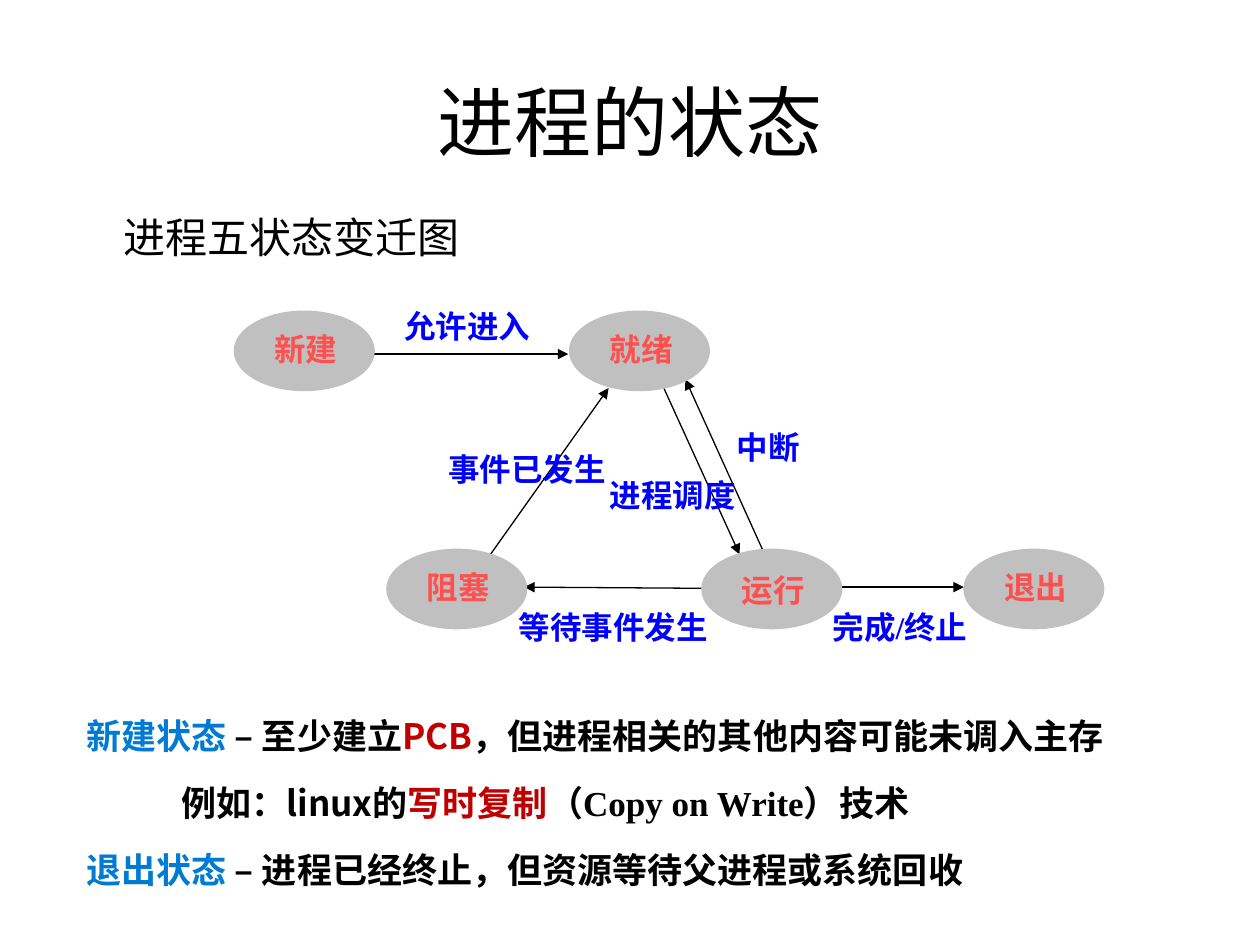
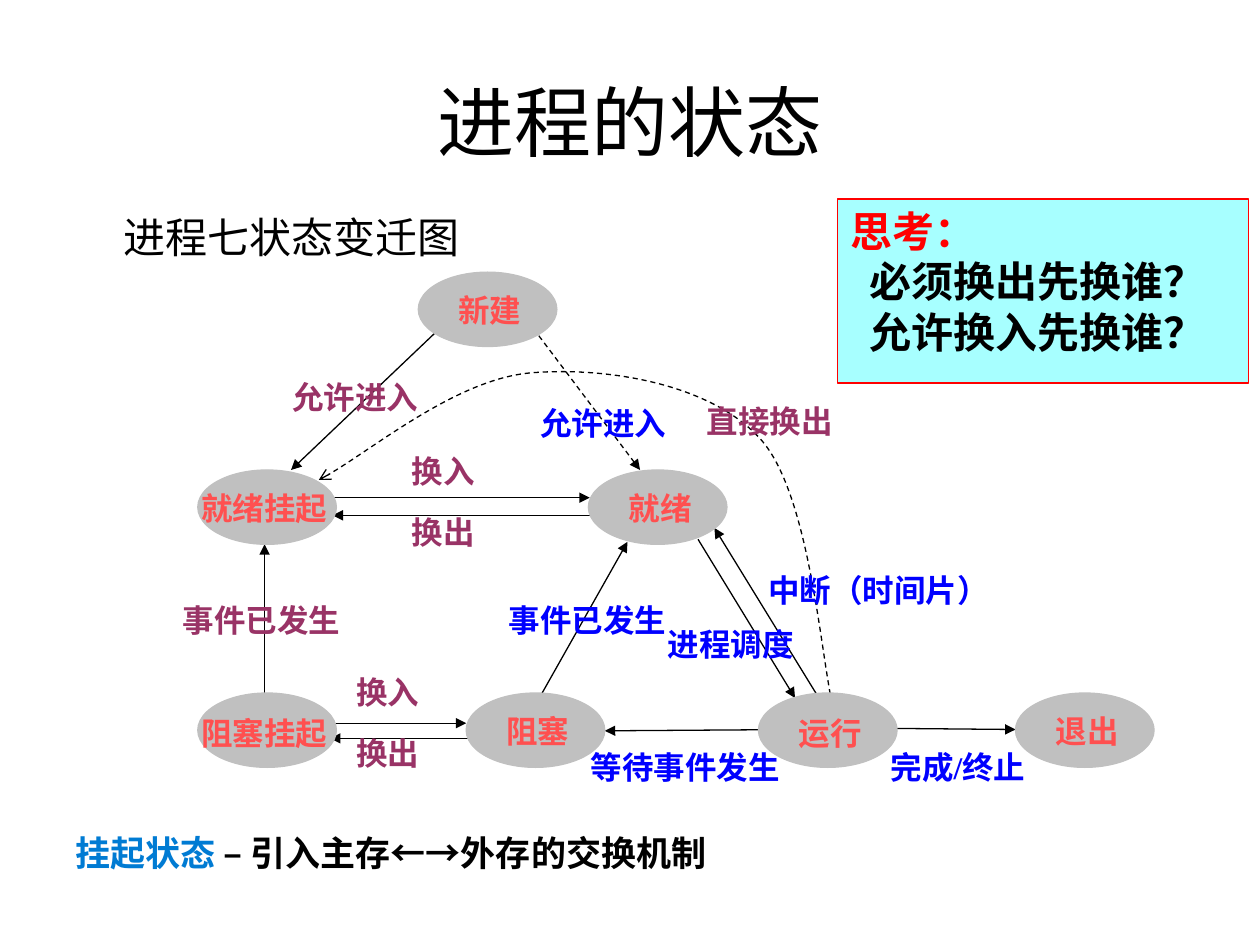
import pptx
import pptx.util
import pptx.dml.color
import pptx.enum.dml
import pptx.enum.shapes
import pptx.enum.text
import pptx.oxml.ns
from lxml import etree

Inches = pptx.util.Inches
Pt = pptx.util.Pt
qn = pptx.oxml.ns.qn
Align = pptx.enum.text.PP_ALIGN
Anchor = pptx.enum.text.MSO_ANCHOR
Shape = pptx.enum.shapes.MSO_SHAPE

COLORS = {
    "ink": "000000",
    "state": "C0C0C0",
    "state_name": "FF5050",
    "event": "0000FF",
    "swap": "993366",
    "key": "C00000",
    "term_start": "007BD3",
    "term_end": "034373",
    "callout": "A7FFFF",
    "alert": "FF0000",
}
SERIF = "Times New Roman"
SANS = "Noto Sans CJK SC"
LINE_WIDTH = 0.75


def rgb(name):
    return pptx.dml.color.RGBColor.from_string(COLORS[name])


def add_para(frame, spans, size, font=SERIF, color="ink", bold=False,
             align=None, leading=1.2, before=0, margin=0, hanging=0):
    para = frame.paragraphs[0]
    if para.runs:
        para = frame.add_paragraph()
        para.space_before = Pt(before)
    para.alignment = align
    para.line_spacing = Pt(round(size * leading, 1))
    if margin or hanging:
        props = para._p.get_or_add_pPr()
        props.set("marL", str(Inches(margin)))
        props.set("indent", str(-Inches(hanging)))
    para.font.size = Pt(size)
    para.font.bold = bold
    para.font.color.rgb = rgb(color)
    para.font.name = font
    etree.SubElement(para.font._rPr, qn("a:ea")).set("typeface", SANS)
    for text, style in spans:
        span = para.add_run()
        span.text = text
        if style == "term":
            paint_term(span)
        elif style == "serif":
            span.font.name = SERIF
        elif style:
            span.font.color.rgb = rgb(style)


def paint_term(span):
    fill = span.font.fill
    fill.gradient()
    fill.gradient_angle = 0
    for stop, name in zip(fill.gradient_stops, ("term_start", "term_end")):
        stop.color.rgb = rgb(name)


def add_box(page, left, top, width, height, anchor=Anchor.TOP):
    box = page.shapes.add_textbox(Inches(left), Inches(top), Inches(width), Inches(height))
    box.text_frame.word_wrap = True
    box.text_frame.vertical_anchor = anchor
    return box.text_frame


def add_label(page, text, left, top, width=1.78, color="event"):
    frame = add_box(page, left, top, width, 0.6)
    add_para(frame, [(text, None)], 18, color=color, bold=True, align=Align.JUSTIFY)


def add_preset(page, kind, left, top, width, height, fill, line):
    shape = page.shapes.add_shape(kind, Inches(left), Inches(top), Inches(width), Inches(height))
    shape.shadow.inherit = False
    shape.fill.solid()
    shape.fill.fore_color.rgb = rgb(fill)
    shape.line.color.rgb = rgb(line)
    shape.line.width = Pt(LINE_WIDTH)
    return shape


def add_state(page, name, left, top, width, height, drop=0.1):
    add_preset(page, Shape.OVAL, left, top, width, height, "state", "state")
    if len(name) > 2:
        shift, room = -0.07, 1.46
    else:
        shift, room = 0.22, 1.11
    add_label(page, name, left + shift, top + drop, room, "state_name")


def style_line(shape, head, dashed):
    shape.line.color.rgb = rgb("ink")
    shape.line.width = Pt(LINE_WIDTH)
    if dashed:
        shape.line.dash_style = pptx.enum.dml.MSO_LINE.DASH
    outline = shape.line._get_or_add_ln()
    etree.SubElement(outline, qn("a:tailEnd")).set("type", head)


def add_arrow(page, x1, y1, x2, y2, dashed=False):
    arrow = page.shapes.add_connector(
        pptx.enum.shapes.MSO_CONNECTOR.STRAIGHT,
        Inches(x1), Inches(y1), Inches(x2), Inches(y2))
    style_line(arrow, "triangle", dashed)
    etree.SubElement(arrow._element.spPr, qn("a:effectLst"))


def add_curved_arrow(page, start, controls):
    points = [(Inches(x), Inches(y)) for x, y in controls]
    builder = page.shapes.build_freeform(Inches(start[0]), Inches(start[1]))
    builder.add_line_segments(points, close=False)
    curve = builder.convert_to_shape()
    curve.shadow.inherit = False
    curve.fill.background()
    style_line(curve, "arrow", True)
    segments = list(curve._element.iter(qn("a:lnTo")))
    for first in range(0, len(segments), 3):
        bezier = etree.Element(qn("a:cubicBezTo"))
        segments[first].addprevious(bezier)
        for segment in segments[first:first + 3]:
            bezier.append(segment[0])
            segment.getparent().remove(segment)


def add_page(deck, subtitle):
    page = deck.slides.add_slide(deck.slide_layouts[6])
    title = add_box(page, 0.5, 0.3, 9, 1.25, Anchor.MIDDLE)
    add_para(title, [("进程的状态", None)], 44, align=Align.CENTER, leading=1.3)
    heading = add_box(page, 0.88, 1.63, 7.8, 0.66)
    add_para(heading, [(subtitle, None)], 24, font="Arial", margin=0.38, hanging=0.38)
    return page


def add_notes(page, left, top, height, lines):
    frame = add_box(page, left, top, 9.31, height)
    for spans in lines:
        is_term = spans[0][1] == "term"
        margin, hanging = (0.38, 0.38) if is_term else (0.75, 0)
        add_para(frame, spans, 20, font=SANS, bold=True, leading=1.56,
                 before=7, margin=margin, hanging=hanging)


def add_callout(page):
    box = add_preset(page, Shape.RECTANGLE, 6.65, 1.58, 3.26, 1.46, "callout", "alert")
    frame = box.text_frame
    frame.word_wrap = True
    frame.vertical_anchor = Anchor.TOP
    for text, color, margin in (("思考：", "alert", 0),
                                ("必须换出先换谁？", "ink", 0.15),
                                ("允许换入先换谁？", "ink", 0.15)):
        add_para(frame, [(text, None)], 24, font=SANS, color=color, bold=True,
                 align=Align.LEFT, margin=margin)


def build_five_states(deck):
    page = add_page(deck, "进程五状态变迁图")
    for ends in ((3.85, 4.46, 4.83, 3.08), (5.2, 2.93, 5.87, 4.4),
                 (6.11, 4.49, 5.44, 3.01), (5.68, 4.67, 4.16, 4.66),
                 (6.54, 4.66, 7.65, 4.66), (2.95, 2.81, 4.51, 2.81)):
        add_arrow(page, *ends)
    upper, lower = 2.47, 4.36
    for name, left, top in (("新建", 1.86, upper), ("就绪", 4.52, upper),
                            ("阻塞", 3.07, lower), ("退出", 7.65, lower)):
        add_state(page, name, left, top, 1.11, 0.63)
    add_state(page, "运行", 5.57, lower, 1.11, 0.63, drop=0.12)
    for text, left, top in (("允许进入", 3.11, 2.39), ("进程调度", 4.74, 3.73),
                            ("中断", 5.75, 3.35), ("事件已发生", 3.46, 3.52),
                            ("等待事件发生", 4.02, 4.78), ("完成/终止", 6.51, 4.78)):
        add_label(page, text, left, top)
    add_notes(page, 0.59, 5.52, 1.21, [
        [("新建状态 ", "term"), ("– 至少建立", None), ("PCB", "key"),
         ("，但进程相关的其他内容可能未调入主存", None)],
        [("例如：linux的", None), ("写时复制", "key"),
         ("（Copy on Write）", "serif"), ("技术", None)],
        [("退出状态 ", "term"), ("– 进程已经终止，但资源等待父进程或系统回收", None)],
    ])


def build_seven_states(deck):
    page = add_page(deck, "进程七状态变迁图")
    add_curved_arrow(page, (6.62, 5.65), [
        (6.52, 5.29), (6.44, 3.94), (6.04, 3.49),
        (5.64, 3.04), (4.8, 2.91), (4.21, 2.96),
        (3.63, 3.01), (2.88, 3.63), (2.53, 3.81)])
    for ends in ((5.05, 4.09, 2.64, 4.09), (2.59, 3.95, 4.68, 3.95),
                 (3.76, 2.35, 2.31, 3.73), (2.39, 5.74, 3.7, 5.74),
                 (3.94, 5.86, 2.62, 5.86), (2.1, 5.5, 2.1, 4.32),
                 (4.19, 5.7, 4.98, 4.3), (5.54, 4.28, 6.31, 5.54),
                 (6.53, 5.59, 5.67, 4.19), (6.33, 5.79, 4.8, 5.8),
                 (6.97, 5.78, 8.06, 5.79)):
        add_arrow(page, *ends)
    add_arrow(page, 4.19, 2.55, 5.08, 3.73, dashed=True)
    middle, lower = 3.73, 5.5
    for name, left, top, drop in (
            ("新建", 3.32, 2.16, 0.1), ("就绪挂起", 1.57, middle, 0.1),
            ("就绪", 4.67, middle, 0.1), ("阻塞挂起", 1.57, lower, 0.12),
            ("阻塞", 3.7, lower, 0.1), ("运行", 6.02, lower, 0.12),
            ("退出", 8.06, lower, 0.1)):
        add_state(page, name, left, top, 1.1, 0.59, drop)
    for text, left, top in (("事件已发生", 1.35, 4.72), ("换入", 2.73, 5.29),
                            ("换出", 2.73, 5.78), ("换入", 3.17, 3.54),
                            ("换出", 3.17, 4.02), ("允许进入", 2.22, 2.95),
                            ("直接换出", 5.51, 3.14)):
        add_label(page, text, left, top, 0.25 * len(text) + 0.3, "swap")
    for text, left, top in (("允许进入", 4.19, 3.16), ("进程调度", 5.2, 4.91),
                            ("事件已发生", 3.94, 4.72), ("等待事件发生", 4.59, 5.89),
                            ("完成/终止", 6.97, 5.89)):
        add_label(page, text, left, top)
    add_label(page, "中断（时间片）", 6, 4.48, 2.35)
    add_notes(page, 0.5, 6.45, 0.73, [
        [("挂起状态 ", "term"), ("– 引入主存←→外存的交换机制", None)]])
    add_callout(page)


def main():
    deck = pptx.Presentation()
    deck.slide_width = Inches(10)
    deck.slide_height = Inches(7.5)
    build_five_states(deck)
    build_seven_states(deck)
    deck.save("out.pptx")


if __name__ == "__main__":
    main()
